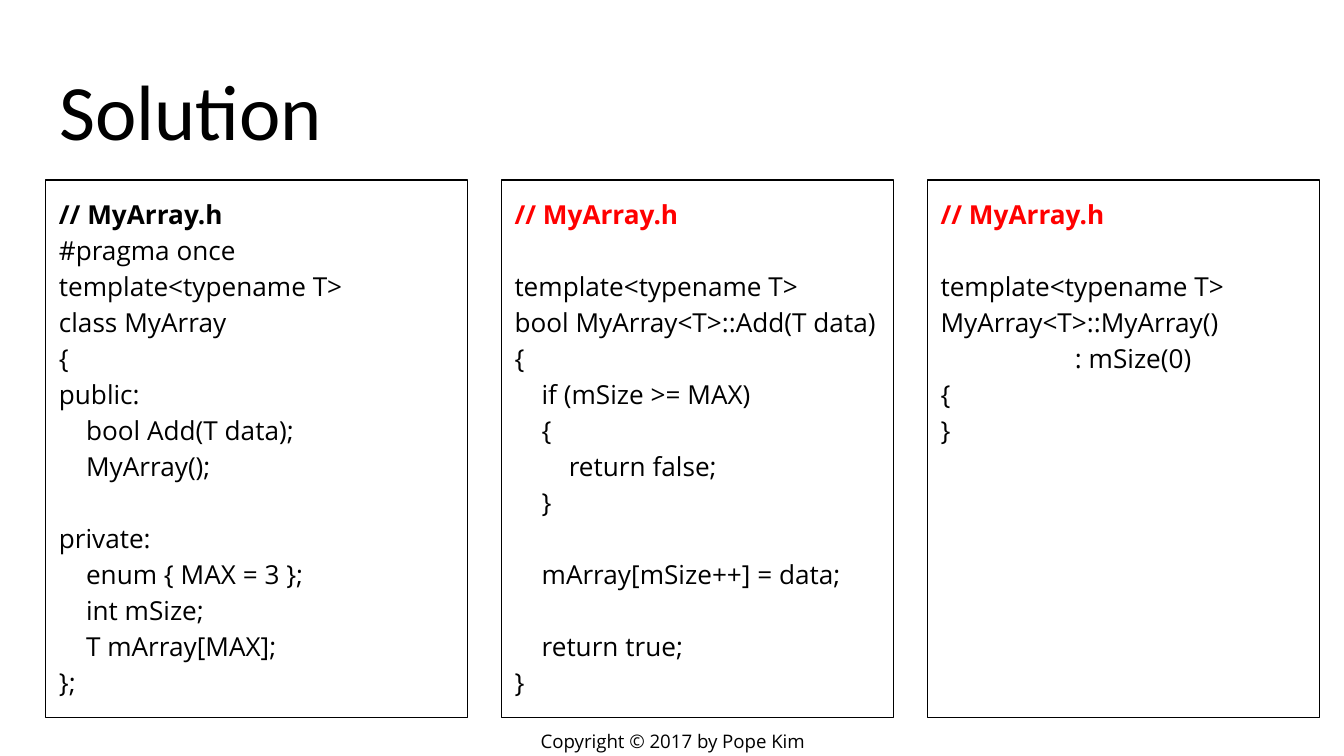
from typing import NamedTuple

from pptx import Presentation
from pptx.dml.color import RGBColor
from pptx.enum.shapes import MSO_SHAPE
from pptx.enum.text import MSO_ANCHOR as ANCHOR, MSO_AUTO_SIZE as AUTO_SIZE, PP_ALIGN as ALIGN
from pptx.util import Inches, Pt

BLACK, RED, WHITE = "000000", "FF0000", "FFFFFF"
CODE_FONT = "Open Sans"
PANEL_LEFT, PANEL_TOP, PANEL_HEIGHT, PANEL_GAP = 0.34, 1.34, 4, 0.25
CODE_LINE = Pt(19.3)


class Panel(NamedTuple):
    width: float
    heading_color: str
    code: str


PANELS = [
    Panel(3.14, BLACK, """// MyArray.h
#pragma once
template<typename T>
class MyArray
{
public:
    bool Add(T data);
    MyArray();

private:
    enum { MAX = 3 };
    int mSize;
    T mArray[MAX];
};"""),
    Panel(2.92, RED, """// MyArray.h

template<typename T>
bool MyArray<T>::Add(T data)
{
    if (mSize >= MAX)
    {
        return false;
    }

    mArray[mSize++] = data;

    return true;
}"""),
    Panel(2.92, RED, """// MyArray.h

template<typename T>
MyArray<T>::MyArray()
\t: mSize(0)
{
}"""),
]


def rgb(color: str) -> RGBColor:
    return RGBColor.from_string(color)


def format_frame(tf, anchor) -> None:
    tf.word_wrap = True
    tf.auto_size = AUTO_SIZE.NONE
    tf.vertical_anchor = anchor
    tf.margin_left = tf.margin_top = tf.margin_right = tf.margin_bottom = Inches(0.1)


def format_runs(p, font: str, size: float, color: str = BLACK, bold: bool = False) -> None:
    for r in p.runs:
        r.font.name = font
        r.font.size = Pt(size)
        r.font.bold = bold
        r.font.color.rgb = rgb(color)


def place(sp, left: float, top: float, width: float, height: float) -> None:
    sp.left, sp.top = Inches(left), Inches(top)
    sp.width, sp.height = Inches(width), Inches(height)


def indent_first_line(p, inches: float) -> None:
    pPr = p._p.get_or_add_pPr()
    pPr.set("marL", "0")
    pPr.set("indent", str(Inches(inches)))


def add_title(slide, text: str) -> None:
    sp = slide.shapes.title
    place(sp, 0.34, 0.35, 9.32, 0.91)
    tf = sp.text_frame
    format_frame(tf, ANCHOR.BOTTOM)
    tf.text = text
    p = tf.paragraphs[0]
    p.alignment = ALIGN.LEFT
    format_runs(p, "Calibri", 42)


def add_panel(slide, panel: Panel, left: float) -> None:
    """Draw a bordered code box; an empty code line becomes space before the next line."""
    sp = slide.shapes.add_shape(
        MSO_SHAPE.RECTANGLE, Inches(left), Inches(PANEL_TOP),
        Inches(panel.width), Inches(PANEL_HEIGHT))
    sp.shadow.inherit = False
    sp.fill.background()
    sp.line.color.rgb = rgb(BLACK)
    sp.line.width = Pt(0.75)
    tf = sp.text_frame
    format_frame(tf, ANCHOR.TOP)

    gap_before = False
    for i, line in enumerate(panel.code.splitlines()):
        if not line:
            gap_before = True
            continue
        p = tf.add_paragraph() if i else tf.paragraphs[0]
        p.text = line
        p.alignment = ALIGN.LEFT
        p.line_spacing = 1.15
        if gap_before:
            p.space_before = CODE_LINE
        if line.startswith("\t"):
            indent_first_line(p, 0.5)
        format_runs(p, CODE_FONT, 14, BLACK if i else panel.heading_color, bold=i == 0)
        gap_before = False


def add_footer(slide, text: str) -> None:
    sp = slide.shapes.add_textbox(Inches(3.77), Inches(5.41), Inches(2.47), Inches(0.21))
    tf = sp.text_frame
    format_frame(tf, ANCHOR.MIDDLE)
    tf.text = text
    p = tf.paragraphs[0]
    p.alignment = ALIGN.CENTER
    format_runs(p, CODE_FONT, 10)


def main() -> None:
    prs = Presentation()
    prs.slide_width = Inches(10)
    prs.slide_height = prs.slide_width * 9 // 16
    slide = prs.slides.add_slide(prs.slide_layouts[5])
    slide.background.fill.solid()
    slide.background.fill.fore_color.rgb = rgb(WHITE)

    add_footer(slide, "Copyright © 2017 by Pope Kim")
    add_title(slide, "Solution")
    left = PANEL_LEFT
    for panel in PANELS:
        add_panel(slide, panel, left)
        left += panel.width + PANEL_GAP
    prs.save("out.pptx")


if __name__ == "__main__":
    main()
